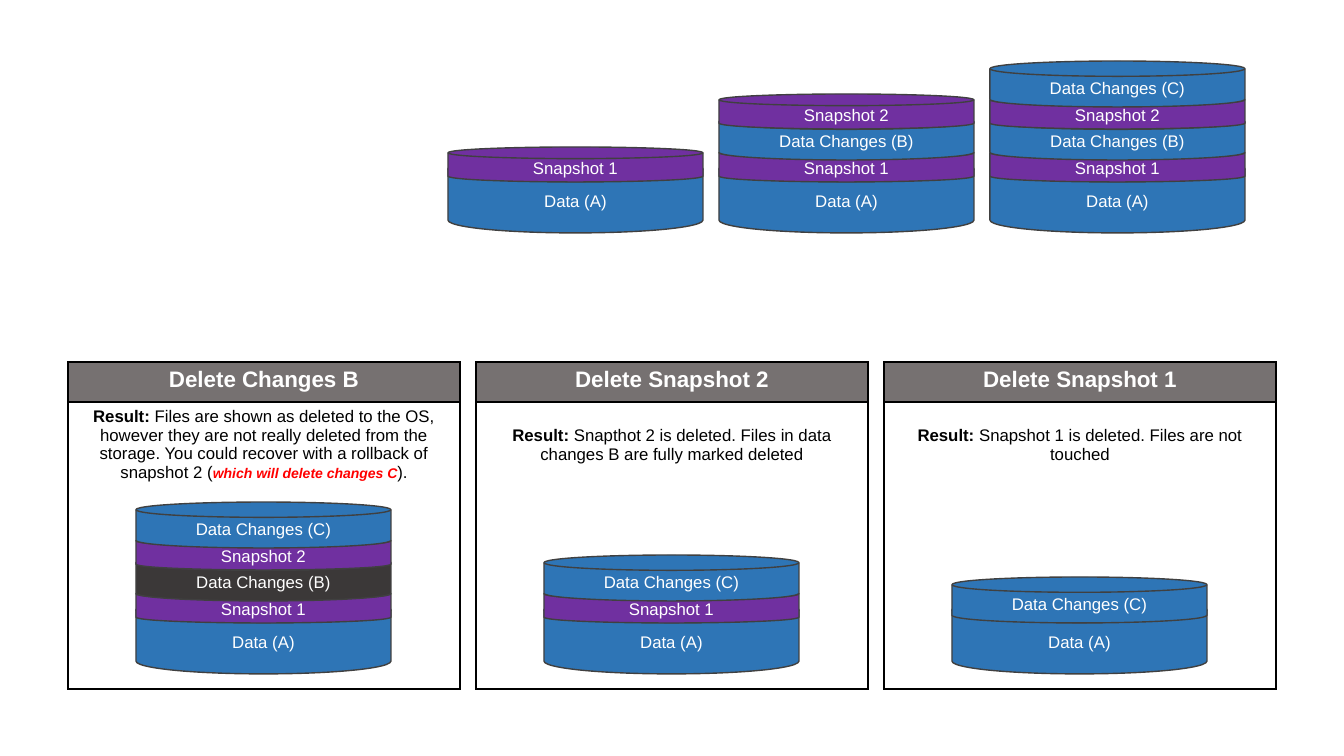
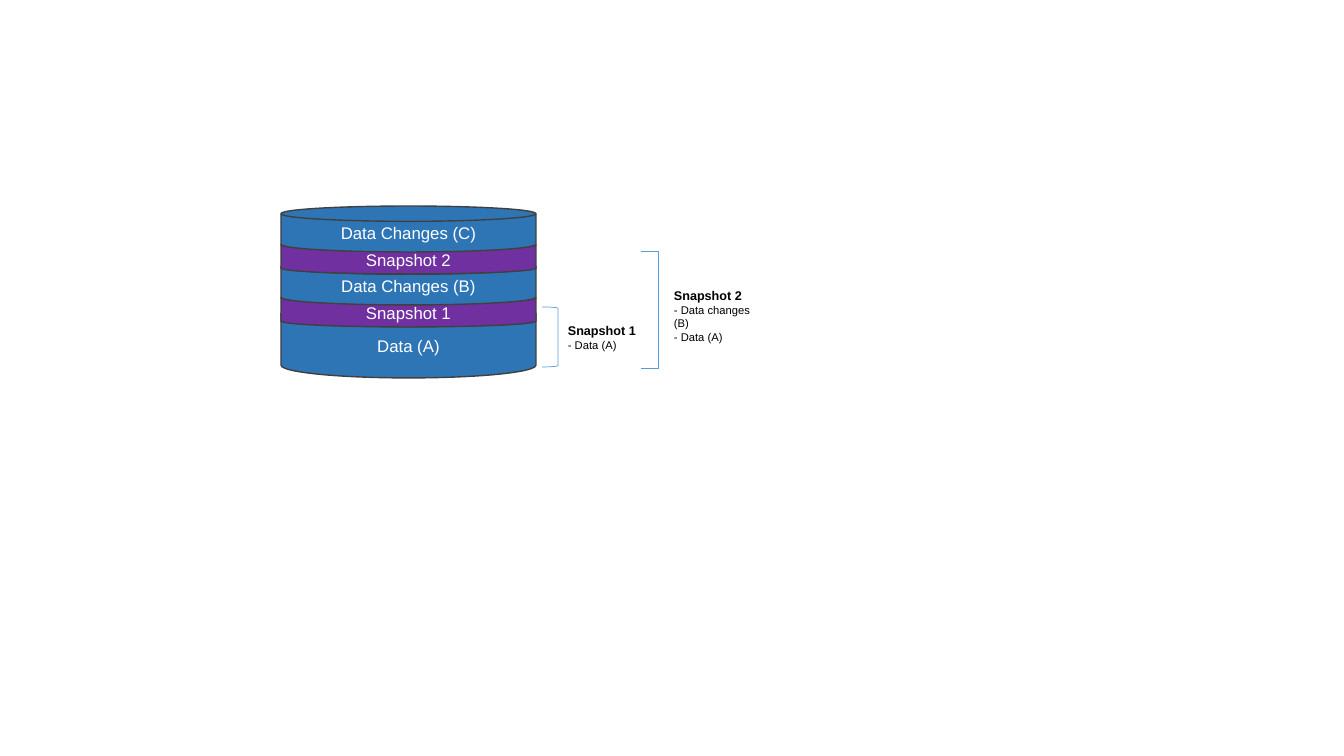
from dataclasses import dataclass

from lxml import etree
from pptx import Presentation
from pptx import util as u
from pptx.dml.color import RGBColor
from pptx.enum import shapes, text
from pptx.oxml import ns

PX = 914400 / 100.8
FONT = "Arial"
COLORS = {
    "data": "2E75B6",
    "snapshot": "7030A0",
    "deleted": "3B3838",
    "outline": "404040",
    "header": "767171",
    "bracket": "5B9BD5",
    "alert": "FF0000",
    "black": "000000",
    "white": "FFFFFF",
}
DISK_W = 255
PANEL_LEFT, PANEL_TOP, PANEL_W, PANEL_STEP = 68, 362, 392, 408
HEADER_H, BODY_H = 40, 287
HISTORY_LEFT, HISTORY_STEP = 448, 271
HISTORY_BASE, PANEL_BASE = 233, 674


@dataclass(frozen=True)
class Run:
    """A stretch of text with one format."""
    text: str
    size: int = 12
    color: str = "black"
    bold: bool = False
    italic: bool = False


@dataclass(frozen=True)
class Layer:
    """One disk; the next disk up overlaps its lid."""
    label: str
    color: str
    height: int
    lid: int


@dataclass(frozen=True)
class Panel:
    """A titled result with the stack that remains."""
    title: str
    result: list[Run]
    layers: list[Layer]
    body_margin: int = 24


@dataclass(frozen=True)
class Scope:
    """A bracket and the note saying what a snapshot holds."""
    bracket: tuple[int, int, int, int]
    note: tuple[int, int, int, int]
    title: str
    contents: list[str]
    square: bool = False


DATA_A = Layer("Data (A)", "data", 77, 26)
SNAP_1 = Layer("Snapshot 1", "snapshot", 35, 13)
CHANGES_B = Layer("Data Changes (B)", "data", 46, 15)
DELETED_B = Layer("Data Changes (B)", "deleted", 46, 15)
SNAP_2 = Layer("Snapshot 2", "snapshot", 35, 13)
CHANGES_C = Layer("Data Changes (C)", "data", 46, 15)
FULL_STACK = [DATA_A, SNAP_1, CHANGES_B, SNAP_2, CHANGES_C]
RESULT = Run("Result: ", bold=True)

PANELS = [
    Panel(
        "Delete Changes B",
        [
            RESULT,
            Run("Files are shown as deleted to the OS, however they are not "
                "really deleted from the storage. You could recover with a "
                "rollback of snapshot 2 ("),
            Run("which will delete changes C", 10, "alert", True, True),
            Run(")."),
        ],
        [DATA_A, SNAP_1, DELETED_B, SNAP_2, CHANGES_C],
        body_margin=5,
    ),
    Panel(
        "Delete Snapshot 2",
        [RESULT, Run("Snapthot 2 is deleted. Files in data changes B are "
                     "fully marked deleted")],
        [DATA_A, SNAP_1, CHANGES_C],
    ),
    Panel(
        "Delete Snapshot 1",
        [RESULT, Run("Snapshot 1 is deleted. Files are not touched")],
        [DATA_A, CHANGES_C],
    ),
]

SCOPES = [
    Scope((542, 307, 16, 60), (558, 318, 92, 39), "Snapshot 1",
          ["- Data (A)"]),
    Scope((641, 251, 17, 117), (664, 283, 113, 52), "Snapshot 2",
          ["- Data changes (B)", "- Data (A)"], square=True),
]


def px(value: float) -> u.Emu:
    """Turn pixels into EMU."""
    return u.Emu(round(value * PX))


def rgb(name: str) -> RGBColor:
    """Look up a named colour."""
    return RGBColor.from_string(COLORS[name])


def add_runs(p, runs: list[Run], align=text.PP_ALIGN.CENTER) -> None:
    """Write formatted runs into a paragraph."""
    p.alignment = align
    for run in runs:
        r = p.add_run()
        r.text = run.text
        r.font.name = FONT
        r.font.size = u.Pt(run.size)
        r.font.bold = run.bold
        r.font.italic = run.italic
        r.font.color.rgb = rgb(run.color)


def add_stack(s, left: int, base: int, layers: list[Layer]) -> None:
    """Pile disks upwards from a base line, as one group."""
    group = s.shapes.add_group_shape()
    bottom = base
    for layer in layers:
        top = bottom - layer.height
        sp = group.shapes.add_shape(
            shapes.MSO_SHAPE.FLOWCHART_MAGNETIC_DISK,
            px(left), px(top), px(DISK_W), px(layer.height))
        sp.shadow.inherit = False
        sp.fill.solid()
        sp.fill.fore_color.rgb = rgb(layer.color)
        sp.line.color.rgb = rgb("outline")
        sp.line.width = u.Pt(1)
        tf = sp.text_frame
        tf.vertical_anchor = text.MSO_ANCHOR.MIDDLE
        add_runs(tf.paragraphs[0], [Run(layer.label, color="white")])
        bottom = top + layer.lid


def style_cell(cell, fill: str) -> None:
    """Give a cell thin black borders and a plain fill."""
    tc_pr = cell._tc.get_or_add_tcPr()
    for side in ("a:lnL", "a:lnR", "a:lnT", "a:lnB"):
        ln = etree.SubElement(tc_pr, ns.qn(side), w=str(u.Pt(1)))
        solid = etree.SubElement(ln, ns.qn("a:solidFill"))
        etree.SubElement(solid, ns.qn("a:srgbClr"), val=COLORS["black"])
    cell.fill.solid()
    cell.fill.fore_color.rgb = rgb(fill)


def add_panel(s, left: int, panel: Panel) -> None:
    """Draw a result table with its stack centred in the body."""
    table = s.shapes.add_table(
        2, 1, px(left), px(PANEL_TOP), px(PANEL_W),
        px(HEADER_H + BODY_H)).table
    table.first_row = table.horz_banding = False
    table.rows[0].height = px(HEADER_H)
    table.rows[1].height = px(BODY_H)
    header, body = table.cell(0, 0), table.cell(1, 0)
    style_cell(header, "header")
    style_cell(body, "white")
    body.margin_top = px(panel.body_margin)
    add_runs(header.text_frame.paragraphs[0],
             [Run(panel.title, 16, "white", True)])
    add_runs(body.text_frame.paragraphs[0], panel.result)
    add_stack(s, left + (PANEL_W - DISK_W) // 2, PANEL_BASE, panel.layers)


def add_scope(s, scope: Scope) -> None:
    """Draw a bracket and its note."""
    sp = s.shapes.add_shape(shapes.MSO_SHAPE.RIGHT_BRACKET,
                            *map(px, scope.bracket))
    sp.shadow.inherit = False
    sp.fill.background()
    sp.line.color.rgb = rgb("bracket")
    sp.line.width = u.Pt(0.5)
    if scope.square:
        sp.adjustments[0] = 0

    tf = s.shapes.add_textbox(*map(px, scope.note)).text_frame
    tf.word_wrap = True
    tf.auto_size = text.MSO_AUTO_SIZE.SHAPE_TO_FIT_TEXT
    left = text.PP_ALIGN.LEFT
    add_runs(tf.paragraphs[0], [Run(scope.title, 9, bold=True)], left)
    for line in scope.contents:
        add_runs(tf.add_paragraph(), [Run(line, 8)], left)


def build_deletions(s) -> None:
    """Show the growing stacks and the result of each deletion."""
    histories = [FULL_STACK[:2], FULL_STACK[:4], FULL_STACK]
    for i, layers in enumerate(histories):
        add_stack(s, HISTORY_LEFT + i * HISTORY_STEP, HISTORY_BASE, layers)
    for i, panel in enumerate(PANELS):
        add_panel(s, PANEL_LEFT + i * PANEL_STEP, panel)


def build_scopes(s) -> None:
    """Show what each snapshot of the full stack covers."""
    add_stack(s, 281, 378, FULL_STACK)
    for scope in SCOPES:
        add_scope(s, scope)


def main() -> None:
    """Build and save the presentation."""
    prs = Presentation()
    prs.slide_width, prs.slide_height = px(1344), px(756)
    for build in (build_deletions, build_scopes):
        build(prs.slides.add_slide(prs.slide_layouts[6]))
    prs.save("out.pptx")


main()
